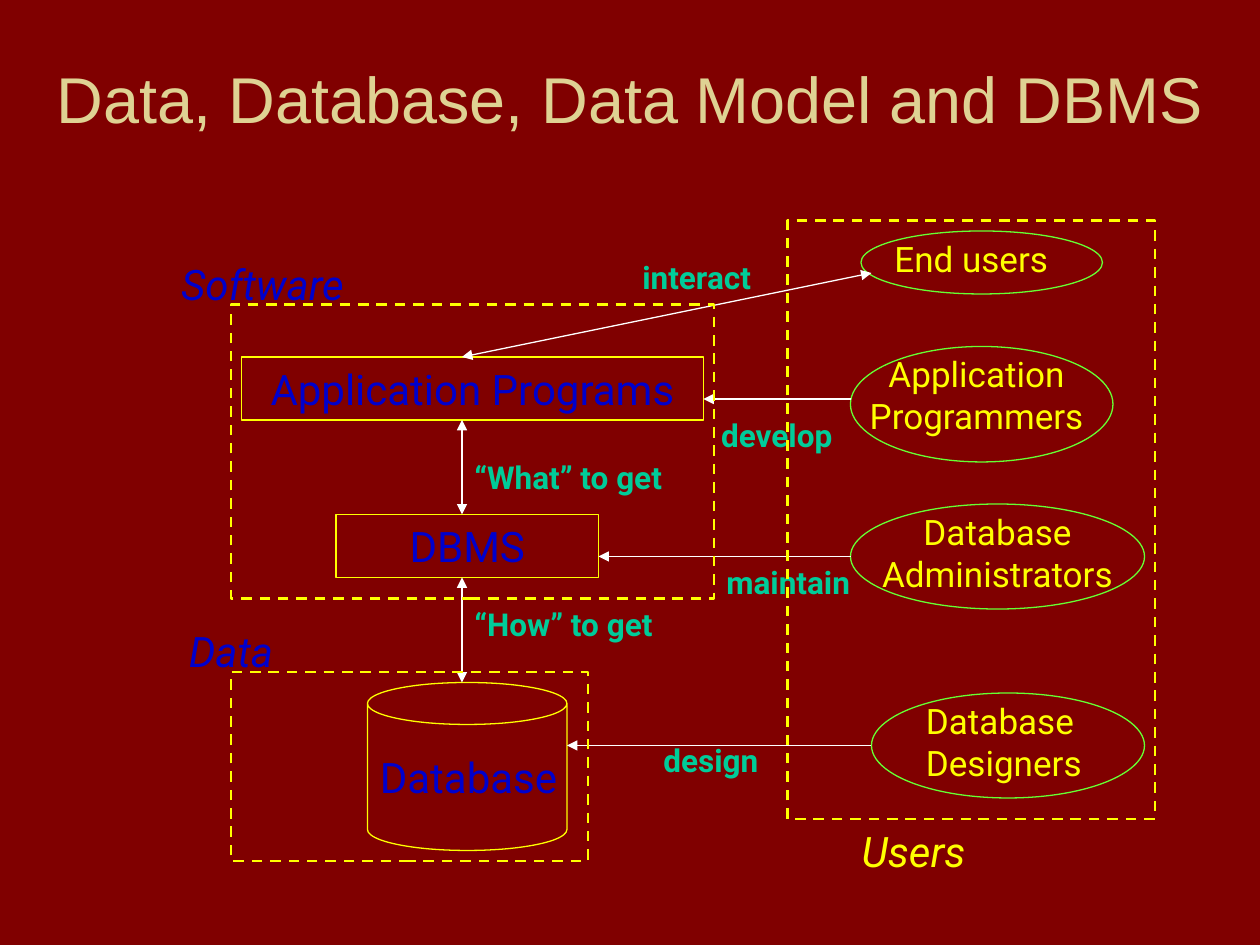
import dataclasses

import pptx
import pptx.dml.color
import pptx.enum.dml
import pptx.enum.shapes
import pptx.enum.text
import pptx.oxml
import pptx.util
from lxml import etree

SHAPE = pptx.enum.shapes.MSO_SHAPE
ALIGN = pptx.enum.text.PP_ALIGN
ANCHOR = pptx.enum.text.MSO_ANCHOR


@dataclasses.dataclass(frozen=True)
class Theme:
    """Colours, fonts and type sizes of the slide."""
    background: str = "800000"
    title: str = "DFD293"
    system: str = "0000CC"
    people: str = "FFFF00"
    relation: str = "00CC99"
    frame: str = "FFFF00"
    oval: str = "66FF33"
    arrow: str = "FFFFFF"
    title_font: str = "Arial"
    body_font: str = "Roboto"
    title_size: int = 37
    heading_size: int = 24
    people_size: int = 20
    relation_size: int = 18
    thin: float = 0.75
    thick: float = 1.5


THEME = Theme()


def cells(*counts):
    """Turn counts of grid cells, twelve to the inch, into lengths."""
    return [pptx.util.Inches(count / 12) for count in counts]


def color(code):
    """Return the colour for a hexadecimal code."""
    return pptx.dml.color.RGBColor.from_string(code)


def write(shape, text, size, code, font=THEME.body_font, align=ALIGN.CENTER,
          anchor=ANCHOR.TOP, bold=False, italic=False):
    """Put formatted text into a shape."""
    frame = shape.text_frame
    frame.word_wrap = True
    frame.vertical_anchor = anchor
    frame.text = text
    paragraph = frame.paragraphs[0]
    paragraph.alignment = align
    for run in paragraph.runs:
        run.font.name = font
        run.font.size = pptx.util.Pt(size)
        run.font.bold = bold
        run.font.italic = italic
        run.font.color.rgb = color(code)


def add_label(slide, box, text, size, code, **style):
    """Add a text box on the grid."""
    shape = slide.shapes.add_textbox(*cells(*box))
    write(shape, text, size, code, **style)
    return shape


def add_outline(slide, kind, box, code=THEME.frame, dashed=False):
    """Add an unfilled outline on the grid."""
    shape = slide.shapes.add_shape(kind, *cells(*box))
    shape.shadow.inherit = False
    shape.fill.background()
    shape.line.color.rgb = color(code)
    shape.line.width = pptx.util.Pt(THEME.thick if dashed else THEME.thin)
    if dashed:
        shape.line.dash_style = pptx.enum.dml.MSO_LINE.DASH
    return shape


def add_arrow(slide, start, end, both=False):
    """Add a straight arrow, with a head at one end or at both."""
    straight = pptx.enum.shapes.MSO_CONNECTOR.STRAIGHT
    connector = slide.shapes.add_connector(straight, *cells(*start, *end))
    connector.line.color.rgb = color(THEME.arrow)
    connector.line.width = pptx.util.Pt(THEME.thin)
    line = connector.line._get_or_add_ln()
    for tag in ("a:headEnd", "a:tailEnd") if both else ("a:tailEnd",):
        etree.SubElement(line, pptx.oxml.ns.qn(tag), type="triangle")
    etree.SubElement(connector._element.spPr, pptx.oxml.ns.qn("a:effectLst"))


def add_title(slide, text):
    """Add the slide title."""
    title = add_label(slide, (0, -2, 120, 15), text, THEME.title_size, THEME.title,
                      font=THEME.title_font, anchor=ANCHOR.BOTTOM)
    title.text_frame.margin_bottom = 0


def add_system(slide):
    """Add the programs, the DBMS and the database."""
    for text, box in (("Application Programs", (23, 34, 44, 6)),
                      ("DBMS", (32, 49, 25, 6))):
        shape = add_outline(slide, SHAPE.RECTANGLE, box)
        write(shape, text, THEME.heading_size, THEME.system)
    add_outline(slide, SHAPE.CAN, (35, 65, 19, 16))
    add_label(slide, (35, 71, 24, 6), "Database", THEME.heading_size,
              THEME.system, align=ALIGN.LEFT)


def add_people(slide):
    """Add an oval and a label for each group of users."""
    people = (
        ("End users", (82, 22, 23, 6), (84, 22, 20, 5), ALIGN.LEFT),
        ("Application Programmers", (81, 33, 25, 11), (79, 33, 28, 9), ALIGN.CENTER),
        ("Database Administrators", (81, 48, 28, 10), (81, 48, 28, 9), ALIGN.CENTER),
        ("Database Designers", (83, 66, 26, 10), (87, 66, 26, 9), ALIGN.LEFT),
    )
    for text, oval, box, align in people:
        add_outline(slide, SHAPE.OVAL, oval, THEME.oval)
        add_label(slide, box, text, THEME.people_size, THEME.people, align=align)


def add_relations(slide):
    """Add the arrows and their names."""
    relations = (
        ("“How” to get", (44, 57), (44, 55), (44, 65), True),
        ("“What” to get", (44, 43), (44, 40), (44, 49), True),
        ("interact", (60, 24), (83, 26), (44, 34), True),
        ("develop", (67.5, 39), (81, 38), (67, 38), False),
        ("maintain", (68, 53), (81, 53), (57, 53), False),
        ("design", (62, 70), (83, 71), (54, 71), False),
    )
    for text, corner, start, end, both in relations:
        add_arrow(slide, start, end, both)
        add_label(slide, (*corner, 24, 5), text, THEME.relation_size,
                  THEME.relation, align=ALIGN.LEFT, bold=True)


def add_groups(slide):
    """Add the dashed frames and their headings."""
    groups = (
        ("Software", (22, 29, 46, 28), (13, 24), THEME.system),
        ("Users", (75, 21, 35, 57), (75, 78), THEME.people),
        ("Data", (22, 64, 34, 18), (10, 59), THEME.system),
    )
    for text, box, corner, code in groups:
        add_outline(slide, SHAPE.RECTANGLE, box, dashed=True)
        add_label(slide, (*corner, 24, 6), text, THEME.heading_size, code, italic=True)


def main():
    """Build and save the slide."""
    presentation = pptx.Presentation()
    presentation.slide_width, presentation.slide_height = cells(120, 90)
    slide = presentation.slides.add_slide(presentation.slide_layouts[6])
    slide.background.fill.solid()
    slide.background.fill.fore_color.rgb = color(THEME.background)
    add_title(slide, "Data, Database, Data Model and DBMS")
    add_system(slide)
    add_people(slide)
    add_relations(slide)
    add_groups(slide)
    presentation.save("out.pptx")


if __name__ == "__main__":
    main()
